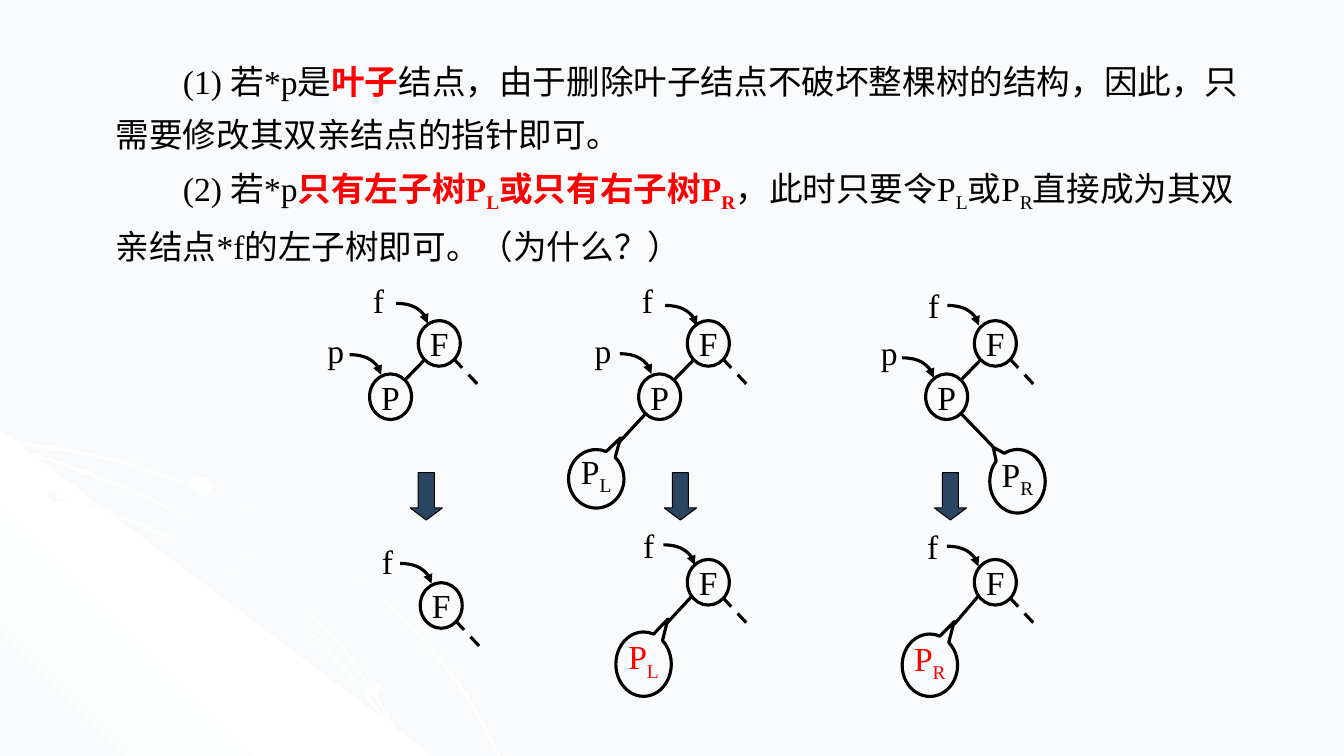
from lxml.etree import SubElement
from pptx import Presentation
from pptx.dml.color import RGBColor
from pptx.enum.dml import MSO_LINE
from pptx.enum.shapes import MSO_CONNECTOR as LINK, MSO_SHAPE as SHAPE
from pptx.enum.text import MSO_ANCHOR as ANCHOR, MSO_AUTO_SIZE as FIT, PP_ALIGN as ALIGN
from pptx.oxml.ns import qn
from pptx.util import Pt

BLACK = RGBColor(0x00, 0x00, 0x00)
RED = RGBColor(0xFF, 0x00, 0x00)
NAVY = RGBColor(0x2B, 0x46, 0x63)
MIST = RGBColor(0xF9, 0xFA, 0xFB)
WHITE = RGBColor(0xFF, 0xFF, 0xFF)
FONT = "Times New Roman"
SLIDE_HEIGHT = 540
NODE_SIZE = (30, 32.6)
POINTER_SIZE = (22.5, 14.4)

RIBBONS = [
    [(0, 313.2), (26.6, 317.5), (54.7, 321.8), (94.3, 330.5), (131, 343.4), (167, 357.8),
     (200.9, 375.1), (231.8, 394.6), (261.4, 416.2), (288, 440), (311.8, 466.6),
     (326.2, 484.6), (337.7, 502.6), (347.8, 520.6), (357.1, 540)],
    [(0, 342), (38.9, 351.4), (75.6, 363.6), (112.3, 378.7), (146.2, 395.3), (177.1, 414.7),
     (205.9, 436.3), (232.6, 460.8), (255.6, 487), (275, 512.6), (283.7, 525.6), (290.9, 540)],
    [(0, 318.2), (36.7, 327.6), (72.7, 340.6), (107.3, 355), (137.5, 371.5), (167.8, 391),
     (195.8, 412.6), (220.3, 434.2), (244.1, 460.1), (257.8, 478.8), (270.7, 499),
     (281.5, 518.4), (290.9, 540)],
]

LEAF_RULE = [
    ("(1) 若*p是", {}),
    ("叶子", {"color": RED, "bold": True}),
    ("结点，由于删除叶子结点不破坏整棵树的结构，因此，只需要修改其双亲结点的指针即可。", {}),
]
ONE_CHILD_RULE = [
    ("(2) 若*p", {}),
    ("只有左子树P", {"color": RED, "bold": True}),
    ("L", {"color": RED, "bold": True, "sub": True}),
    ("或只有右子树P", {"color": RED, "bold": True}),
    ("R", {"color": RED, "bold": True, "sub": True}),
    ("，此时只要令P", {}),
    ("L", {"sub": True}),
    ("或P", {}),
    ("R", {"sub": True}),
    ("直接成为其双亲结点*f的左子树即可。（为什么？）", {}),
]


def write(paragraph, text, color=BLACK, bold=False, sub=False):
    """Append a formatted run to a paragraph."""
    run = paragraph.add_run()
    run.text = text
    font = run.font
    font.name, font.size, font.bold = FONT, Pt(24), bold
    font.color.rgb = color
    if sub:
        run._r.get_or_add_rPr().set("baseline", "-25000")


def fill_gradient(shape, colors, angle):
    """Give a borderless shape an evenly stepped linear gradient."""
    shape.shadow.inherit = False
    shape.line.fill.background()
    shape.fill.gradient()
    shape.fill.gradient_angle = angle
    stops = shape._element.spPr.find(".//" + qn("a:gsLst"))
    for stop in list(stops):
        stops.remove(stop)
    for index, color in enumerate(colors):
        stop = SubElement(stops, qn("a:gs"), pos=str(index * 100000 // (len(colors) - 1)))
        SubElement(stop, qn("a:srgbClr"), val=str(color))


def add_outline(slide, points, colors, angle):
    """Draw a closed outline with a gradient fill."""
    start, *rest = [(Pt(x), Pt(y)) for x, y in points]
    builder = slide.shapes.build_freeform(*start, scale=1.0)
    builder.add_line_segments(rest, close=True)
    fill_gradient(builder.convert_to_shape(), colors, angle)


def add_backdrop(slide):
    """Draw the pale hill, ribbons and dots in the lower left."""
    light = (WHITE, MIST, WHITE)
    first, *others = RIBBONS
    hill = [(308.9, SLIDE_HEIGHT), (0, SLIDE_HEIGHT), (0, 307.4)]
    add_ribbon(slide, first, light)
    add_outline(slide, hill, (MIST, WHITE, MIST), 45)
    for edge in others:
        add_ribbon(slide, edge, light)
    for x, y, w, h, angle in [(34.6, 347.8, 14.4, 10.8, 45), (256.3, 485.3, 15.1, 11.5, 315),
                              (131.8, 340.6, 20.2, 15.1, 45)]:
        dot = slide.shapes.add_shape(SHAPE.OVAL, Pt(x), Pt(y), Pt(w), Pt(h))
        fill_gradient(dot, (MIST, WHITE), angle)


def add_ribbon(slide, edge, colors):
    """Draw a thin band along an edge."""
    inner = [(max(x - 1.5, 0), min(y + 1.5, SLIDE_HEIGHT)) for x, y in reversed(edge)]
    add_outline(slide, edge + inner, colors, 315)


def add_outlined(slide, kind, x, y, w, h, line_width=2.25):
    """Add an unfilled preset shape with a black line."""
    shape = slide.shapes.add_shape(kind, Pt(x), Pt(y), Pt(w), Pt(h))
    shape.shadow.inherit = False
    shape.fill.background()
    shape.line.color.rgb = BLACK
    shape.line.width = Pt(line_width)
    return shape


def center_text(shape, runs, bottom=0):
    """Centre runs in a shape, raised by a bottom inset."""
    frame = shape.text_frame
    frame.word_wrap = False
    frame.vertical_anchor = ANCHOR.MIDDLE
    frame.margin_left = frame.margin_right = frame.margin_top = 0
    frame.margin_bottom = Pt(bottom)
    paragraph = frame.paragraphs[0]
    paragraph.alignment = ALIGN.CENTER
    for text, style in runs:
        write(paragraph, text, **style)


def add_node(slide, letter, x, y):
    """Add a round tree node."""
    center_text(add_outlined(slide, SHAPE.OVAL, x, y, *NODE_SIZE), [(letter, {})])


def add_subtree(slide, side, x, y, height, tip, color=BLACK):
    """Add a balloon standing for a subtree."""
    balloon = add_outlined(slide, SHAPE.OVAL_CALLOUT, x, y, 39.6, height)
    balloon.adjustments[0], balloon.adjustments[1] = tip
    center_text(balloon, [("P", {"color": color}), (side, {"color": color, "sub": True})], bottom=7)


def add_link(slide, x1, y1, x2, y2, kind=LINK.STRAIGHT, dashed=False):
    """Add a black line between two points."""
    link = slide.shapes.add_connector(kind, Pt(x1), Pt(y1), Pt(x2), Pt(y2))
    link.line.color.rgb = BLACK
    link.line.width = Pt(2.25)
    if dashed:
        link.line.dash_style = MSO_LINE.DASH
    SubElement(link._element.spPr, qn("a:effectLst"))
    return link


def add_pointer(slide, name, label_x, label_y, x, y):
    """Add a pointer name and its curved arrow."""
    label = slide.shapes.add_textbox(Pt(label_x), Pt(label_y), Pt(22.3 if name == "f" else 26.6), Pt(36))
    label.text_frame.word_wrap = False
    write(label.text_frame.paragraphs[0], name)
    dx, dy = POINTER_SIZE
    curve = add_link(slide, x, y, x + dx, y + dy, LINK.CURVE)
    curve._element.spPr.find(qn("a:prstGeom")).set("prst", "curvedConnector2")
    SubElement(curve.line._get_or_add_ln(), qn("a:tailEnd"), type="triangle")


def add_parent(slide, x, y):
    """Add node F with its dashed right branch."""
    add_node(slide, "F", x, y)
    add_link(slide, x + 25.2, y + 27.2, x + 45.4, y + 48.8, dashed=True)


def add_parent_and_child(slide, x):
    """Add node F with its left child P."""
    top = 229
    add_parent(slide, x, top)
    add_node(slide, "P", x - 34.8, top + 38.1)
    add_link(slide, x + 4.5, top + 28, x - 9.5, top + 42.4)


def add_step_arrow(slide, x):
    """Add the block arrow from before to after."""
    arrow = add_outlined(slide, SHAPE.DOWN_ARROW, x, 337.7, 23, 33.8, line_width=0.75)
    arrow.fill.solid()
    arrow.fill.fore_color.rgb = NAVY
    arrow.adjustments[0], arrow.adjustments[1] = 0.5, 0.374


def add_rules(slide):
    """Add the two deletion rules."""
    frame = slide.shapes.add_textbox(Pt(75.6), Pt(31.7), Pt(822.2), Pt(158.4)).text_frame
    frame.word_wrap = True
    frame.auto_size = FIT.SHAPE_TO_FIT_TEXT
    for index, runs in enumerate([LEAF_RULE, ONE_CHILD_RULE]):
        paragraph = frame.add_paragraph() if index else frame.paragraphs[0]
        paragraph.line_spacing = 1.3
        paragraph._p.get_or_add_pPr().set("indent", str(Pt(48)))
        for text, style in runs:
            write(paragraph, text, **style)


def main():
    """Build the slide and save it."""
    deck = Presentation()
    deck.slide_width, deck.slide_height = Pt(960), Pt(SLIDE_HEIGHT)
    slide = deck.slides.add_slide(deck.slide_layouts[6])
    slide.background.fill.solid()
    slide.background.fill.fore_color.rgb = MIST
    add_backdrop(slide)
    add_rules(slide)

    for parent_x, arrow_x in [(298.8, 293), (491, 474.5), (696, 667.4)]:
        add_parent_and_child(slide, parent_x)
        add_step_arrow(slide, arrow_x)
    for parent_x, parent_y in [(300.2, 416.2), (491, 399.6), (696, 399.6)]:
        add_parent(slide, parent_x, parent_y)

    for pointer in [("f", 259.2, 196.6, 283, 216.7), ("p", 226.8, 231.8, 249.8, 253.4),
                    ("f", 265.7, 383, 285.8, 402.5), ("f", 451.4, 196.6, 475.2, 218.2),
                    ("p", 417.6, 231.8, 442.8, 252.7), ("f", 452.2, 371.5, 473.8, 389.2),
                    ("f", 655.9, 200.2, 676.8, 218.2), ("p", 622.1, 233.3, 644.4, 255.6),
                    ("f", 655.2, 372.2, 676.4, 390.2)]:
        add_pointer(slide, *pointer)

    for branch in [(460.8, 295.9, 442.1, 316.1), (493.9, 426.2, 475.2, 446.4),
                   (686.9, 295.9, 709.2, 319), (698.4, 426.2, 681.8, 445.7)]:
        add_link(slide, *branch)
    upper_right, upper_left = (0.438, -0.7), (-0.438, -0.535)
    add_subtree(slide, "L", 406.1, 321.1, 41.8, upper_right)
    add_subtree(slide, "R", 707, 321.1, 45.4, upper_left)
    add_subtree(slide, "L", 439.9, 451.4, 46, upper_right, RED)
    add_subtree(slide, "R", 644.4, 452.9, 44.6, upper_right, RED)
    deck.save("out.pptx")


if __name__ == "__main__":
    main()
